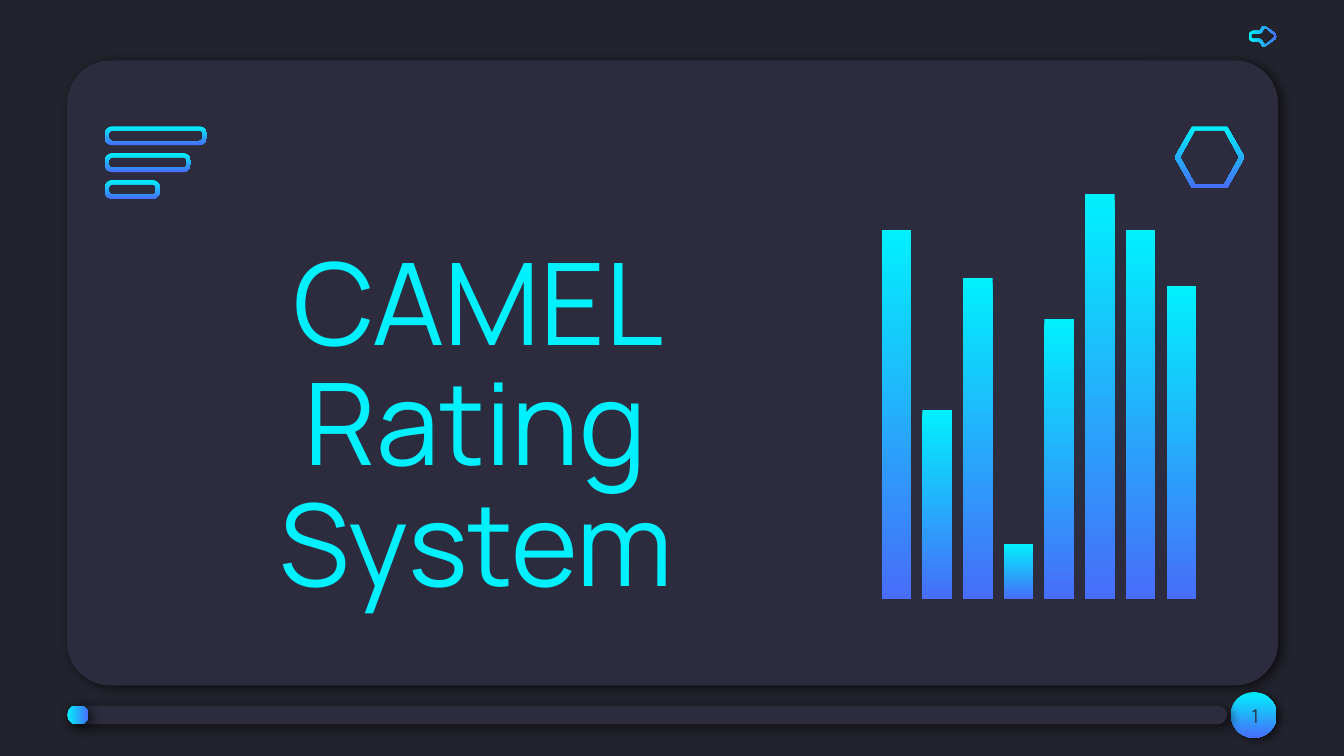
from math import cos, pi, sin

from lxml.etree import SubElement
from pptx import Presentation
from pptx.dml.color import RGBColor
from pptx.enum.shapes import MSO_SHAPE
from pptx.enum.text import MSO_ANCHOR, MSO_AUTO_SIZE, PP_ALIGN
from pptx.oxml.ns import qn
from pptx.util import Inches, Pt

COLORS = {"bg": "23232E", "panel": "2C2C3E", "cyan": "01F0FD",
          "blue": "476DFA", "shadow": "000000"}
FONT = "Manrope"
DOWN, RIGHT = 270, 0  # gradient directions
BAR_HEIGHTS = [2.75, 1.41, 2.39, 0.41, 2.09, 3.02, 2.75, 2.33]
BAR_LEFT, BAR_RIGHT, BAR_BOTTOM, BAR_WIDTH = 6.56, 8.9, 4.46, 0.22
BAR_PITCH = (BAR_RIGHT - BAR_LEFT - BAR_WIDTH) / (len(BAR_HEIGHTS) - 1)
PILL_WIDTHS = [0.76, 0.64, 0.41]
PILL_LEFT, PILL_TOP, PILL_HEIGHT, PILL_PITCH = 0.78, 0.94, 0.14, 0.2
RIM = 0.03


def rgb(name):
    return RGBColor.from_string(COLORS[name])


def paint(sp, color=None, direction=DOWN):
    """Fill with one colour, or with the cyan-to-blue gradient."""
    sp.shadow.inherit = False
    sp.line.fill.background()
    if color:
        sp.fill.solid()
        sp.fill.fore_color.rgb = rgb(color)
        return
    sp.fill.gradient()
    sp.fill.gradient_angle = direction
    for stop, name, position in zip(sp.fill.gradient_stops, ("cyan", "blue"), (0, 1)):
        stop.color.rgb = rgb(name)
        stop.position = position


def add_block(shapes, kind, box, color=None, direction=DOWN, radius=None):
    sp = shapes.add_shape(kind, *map(Inches, box))
    if radius is not None:
        sp.adjustments[0] = radius
    paint(sp, color, direction)
    return sp


def add_shadow(sp, blur=5.6):
    effects = sp._element.spPr.find(qn("a:effectLst"))
    shadow = SubElement(effects, qn("a:outerShdw"), blurRad=str(Pt(blur)),
                        dist=str(Pt(2.2)), dir=str(33 * 60000),
                        algn="bl", rotWithShape="0")
    color = SubElement(shadow, qn("a:srgbClr"), val=COLORS["shadow"])
    SubElement(color, qn("a:alpha"), val="60000")


def add_ring(shapes, outer, inner, direction=DOWN):
    """Draw an outline as an outer contour with a hole."""
    contours = [[(Inches(x), Inches(y)) for x, y in c] for c in (outer, inner[::-1])]
    builder = shapes.build_freeform(*contours[0][0])
    builder.add_line_segments(contours[0][1:])
    builder.move_to(*contours[1][0])
    builder.add_line_segments(contours[1][1:])
    paint(builder.convert_to_shape(), direction=direction)


def rounded_points(x, y, w, h, r, steps=8):
    centers = [(x + w - r, y + h - r), (x + r, y + h - r),
               (x + r, y + r), (x + w - r, y + r)]
    return [(cx + r * cos(a), cy + r * sin(a))
            for i, (cx, cy) in enumerate(centers)
            for a in (pi / 2 * (i + k / steps) for k in range(steps + 1))]


def hexagon_points(cx, cy, rx, ry):
    return [(cx + sx * rx, cy + sy * ry)
            for sx, sy in ((-0.5, -1), (0.5, -1), (1, 0), (0.5, 1), (-0.5, 1), (-1, 0))]


def mirrored(upper, axis):
    return upper + [(x, 2 * axis - y) for x, y in reversed(upper)]


def add_bars(s):
    shapes = s.shapes.add_group_shape().shapes
    for i, height in enumerate(BAR_HEIGHTS):
        add_block(shapes, MSO_SHAPE.RECTANGLE,
                  (BAR_LEFT + i * BAR_PITCH, BAR_BOTTOM - height, BAR_WIDTH, height))


def add_menu_icon(s):
    shapes = s.shapes.add_group_shape().shapes
    for i, width in enumerate(PILL_WIDTHS):
        top = PILL_TOP + i * PILL_PITCH
        outer = rounded_points(PILL_LEFT, top, width, PILL_HEIGHT, 0.06)
        inner = rounded_points(PILL_LEFT + RIM, top + RIM, width - 2 * RIM,
                               PILL_HEIGHT - 2 * RIM, 0.03)
        add_ring(shapes, outer, inner)


def add_arrow_icon(s):
    outer = [(9.29, 0.26), (9.3, 0.24), (9.32, 0.23), (9.37, 0.23), (9.38, 0.22),
             (9.39, 0.2), (9.4, 0.19), (9.42, 0.2), (9.49, 0.25), (9.5, 0.27)]
    inner = [(9.31, 0.26), (9.32, 0.25), (9.37, 0.25), (9.39, 0.24), (9.4, 0.22),
             (9.41, 0.21), (9.42, 0.21), (9.48, 0.26), (9.49, 0.27)]
    add_ring(s.shapes, mirrored(outer, 0.27), mirrored(inner, 0.27), RIGHT)


def style_text(sp, text, size, color, anchor):
    tf = sp.text_frame
    tf.text = text
    tf.word_wrap = True
    tf.auto_size = MSO_AUTO_SIZE.NONE
    tf.vertical_anchor = anchor
    tf.margin_left = tf.margin_right = tf.margin_top = tf.margin_bottom = Inches(0.1)
    p = tf.paragraphs[0]
    p.alignment = PP_ALIGN.CENTER
    font = p.runs[0].font
    font.name, font.size, font.color.rgb = FONT, Pt(size), rgb(color)
    return p


def add_title(s, text):
    """Fill the title placeholder and bring it in front of the card."""
    title = s.shapes.title
    title.left, title.top, title.width, title.height = map(Inches, (1.09, 1.96, 4.9, 2.68))
    p = style_text(title, text, 61, "cyan", MSO_ANCHOR.BOTTOM)
    p.line_spacing = 0.88
    title._element.getparent().append(title._element)
    subtitle = s.placeholders[1]._element
    subtitle.getparent().remove(subtitle)


def add_frame(s):
    """Draw the card, the page badge and the progress track."""
    badge = add_block(s.shapes, MSO_SHAPE.OVAL, (9.16, 5.15, 0.34, 0.34))
    add_shadow(badge, 4.5)
    rounded = MSO_SHAPE.ROUNDED_RECTANGLE
    add_shadow(add_block(s.shapes, rounded, (0.5, 0.45, 9.01, 4.65), "panel", radius=0.069))
    number = s.shapes.add_textbox(*map(Inches, (9.04, 5.11, 0.6, 0.43)))
    style_text(number, "1", 10, "panel", MSO_ANCHOR.MIDDLE)
    add_shadow(add_block(s.shapes, rounded, (0.5, 5.25, 8.63, 0.14), "panel", radius=0.5))
    add_shadow(add_block(s.shapes, rounded, (0.5, 5.25, 0.16, 0.14),
                         direction=RIGHT, radius=0.5))


def main():
    prs = Presentation()
    prs.slide_width, prs.slide_height = Inches(10), Inches(10 * 9 / 16)
    s = prs.slides.add_slide(prs.slide_layouts[0])
    s.background.fill.solid()
    s.background.fill.fore_color.rgb = rgb("bg")
    add_frame(s)
    add_bars(s)
    add_title(s, "CAMEL Rating System")
    add_menu_icon(s)
    add_ring(s.shapes, hexagon_points(9, 1.17, 0.26, 0.23),
             hexagon_points(9, 1.17, 0.22, 0.2))
    add_arrow_icon(s)
    prs.save("out.pptx")


if __name__ == "__main__":
    main()
